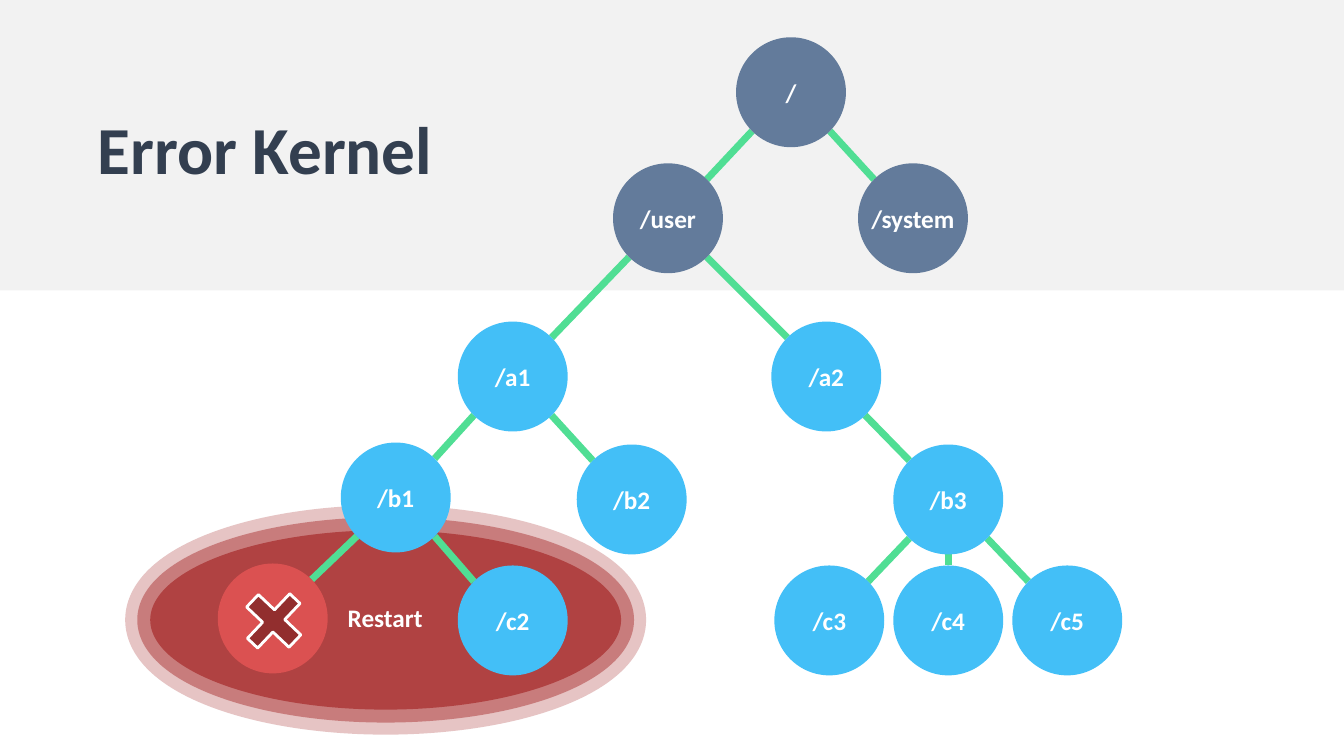
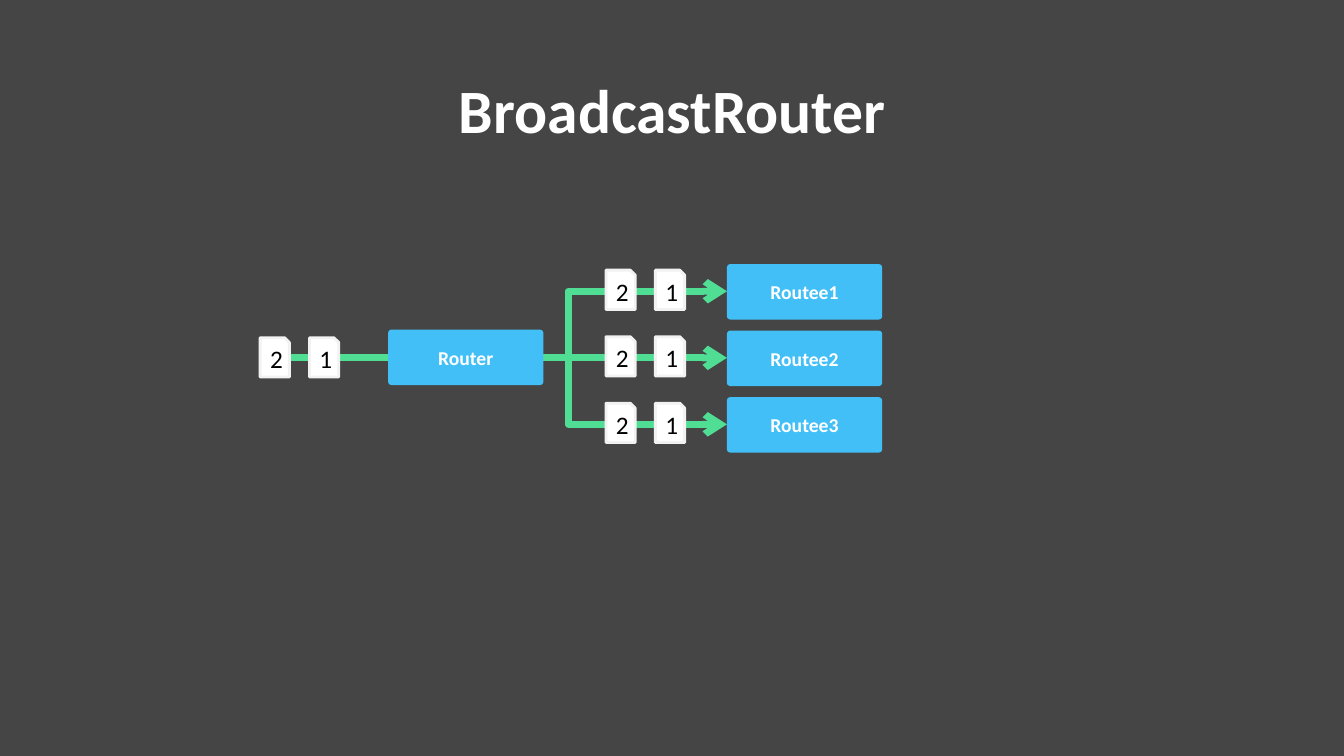
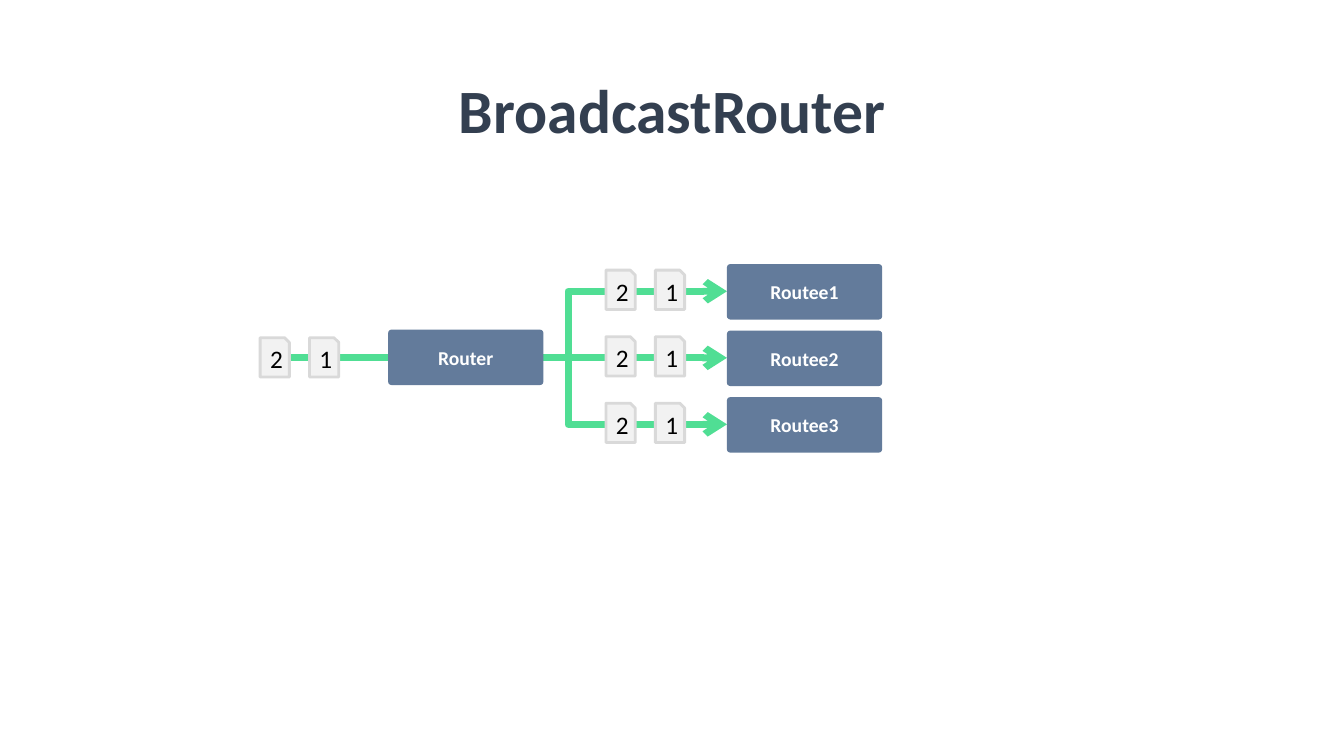
from pptx import Presentation
from pptx.dml.color import RGBColor
from pptx.enum.shapes import MSO_CONNECTOR, MSO_SHAPE
from pptx.enum.text import MSO_ANCHOR, MSO_AUTO_SIZE, PP_ALIGN
from pptx.oxml.ns import qn
from pptx.util import Inches, Pt
from lxml import etree

OVAL, BOX, ROUND = MSO_SHAPE.OVAL, MSO_SHAPE.RECTANGLE, MSO_SHAPE.ROUNDED_RECTANGLE
SNIP, CROSS = MSO_SHAPE.SNIP_1_RECTANGLE, MSO_SHAPE.CROSS
LINE, ELBOW = MSO_CONNECTOR.STRAIGHT, MSO_CONNECTOR.ELBOW
LEFT, MID = PP_ALIGN.LEFT, PP_ALIGN.CENTER
TOP, MIDDLE = MSO_ANCHOR.TOP, MSO_ANCHOR.MIDDLE

FONT = "Calibri"
WHITE = RGBColor(0xFF, 0xFF, 0xFF)
BLACK = RGBColor(0, 0, 0)
NAVY = RGBColor(0x33, 0x3F, 0x50)
DARK = RGBColor(0x45, 0x45, 0x45)
PALE = RGBColor(0xF2, 0xF2, 0xF2)
GREY = RGBColor(0xD9, 0xD9, 0xD9)
GREEN = RGBColor(0x50, 0xDE, 0x94)
BLUE = RGBColor(0x43, 0xBF, 0xF7)
SLATE = RGBColor(0x63, 0x7B, 0x9B)
BRICK = RGBColor(0xB0, 0x42, 0x42)
RED = RGBColor(0xDB, 0x51, 0x51)
WINE = RGBColor(0x92, 0x2E, 0x2E)

# Content: actor tree as name: (left, top, fill, parent)
NODES = {
    "/": (7.3, 0.37, SLATE, None),
    "/user": (6.08, 1.62, SLATE, "/"),
    "/system": (8.51, 1.62, SLATE, "/"),
    "/a1": (4.54, 3.19, BLUE, "/user"),
    "/a2": (7.65, 3.19, BLUE, "/user"),
    "/b1": (3.38, 4.39, BLUE, "/a1"),
    "/b2": (5.72, 4.41, BLUE, "/a1"),
    "/b3": (8.86, 4.41, BLUE, "/a2"),
    "failed": (2.16, 5.59, RED, "/b1"),
    "/c2": (4.54, 5.61, BLUE, "/b1"),
    "/c3": (7.68, 5.61, BLUE, "/b3"),
    "/c4": (8.86, 5.61, BLUE, "/b3"),
    "/c5": (10.04, 5.61, BLUE, "/b3"),
}
NODE = 1.09
ZONE = (1.49, 5.26, 4.67, 1.78)

# Content: router slides as (back, title, box, card, card edge)
ROUTEES = ["Routee1", "Routee2", "Routee3"]
CARDS = ["2", "1"]
LOOKS = [
    (DARK, WHITE, BLUE, WHITE, PALE),
    (WHITE, NAVY, SLATE, PALE, GREY),
]
BOX_W, BOX_H, PITCH = 1.54, 0.55, 0.66
CARD_W, CARD_H, STEP = 0.29, 0.39, 0.49

deck = Presentation()
deck.slide_width, deck.slide_height = Inches(13.33), Inches(7.5)


# Shared helpers
def write(frame, words, size=18, color=WHITE, bold=True, align=MID,
          anchor=MIDDLE, wrap=True, space=None):
    frame.auto_size = MSO_AUTO_SIZE.NONE
    frame.word_wrap = wrap
    frame.vertical_anchor = anchor
    para = frame.paragraphs[0]
    para.alignment, para.line_spacing = align, space
    run = para.add_run()
    run.text = words
    font = run.font
    font.name, font.size, font.bold = FONT, Pt(size), bold
    font.color.rgb = color


def start(words, back, place, **form):
    slide = deck.slides.add_slide(deck.slide_layouts[5])
    slide.background.fill.solid()
    slide.background.fill.fore_color.rgb = back
    head = slide.shapes.title
    head.left, head.top, head.width, head.height = map(Inches, place)
    write(head.text_frame, words, **form)
    return slide


def draw(slide, kind, place, fill=None, edge=None, width=2, alpha=None):
    shape = slide.shapes.add_shape(kind, *map(Inches, place))
    shape.shadow.inherit = False
    if fill is None:
        shape.fill.background()
    else:
        shape.fill.solid()
        shape.fill.fore_color.rgb = fill
    if edge is None:
        shape.line.fill.background()
    else:
        shape.line.color.rgb = edge
        shape.line.width = Pt(width)
    if alpha:
        tint = shape.line._get_or_add_ln().find(".//" + qn("a:srgbClr"))
        etree.SubElement(tint, qn("a:alpha"), val=str(alpha * 1000))
    return shape


def link(slide, begin, end, kind=LINE, bend=None, arrow=False):
    wire = slide.shapes.add_connector(kind, *map(Inches, begin + end))
    wire.line.color.rgb = GREEN
    wire.line.width = Pt(5)
    props = wire.element.spPr
    etree.SubElement(props, qn("a:effectLst"))
    if arrow:
        etree.SubElement(wire.line._get_or_add_ln(), qn("a:tailEnd"), type="arrow")
    if bend:
        guides = props.find(".//" + qn("a:avLst"))
        etree.SubElement(guides, qn("a:gd"), name="adj1",
                         fmla=f"val {round(bend * 100000)}")


# Slide 1: actor tree
def join(slide, upper, lower):
    """Link two circles at their facing diagonal points, or straight down."""
    (left, top), (low_left, low_top) = upper[:2], lower[:2]
    half = NODE / 2
    side = (low_left > left) - (low_left < left)
    dx = side * half * 0.5 ** 0.5
    dy = half * 0.5 ** 0.5 if side else half
    link(slide, (left + half + dx, top + half + dy),
         (low_left + half - dx, low_top + half - dy))


def tree():
    slide = start("Error Kernel", WHITE, (0.87, 1.01, 3.68, 0.91), size=48,
                  color=NAVY, align=LEFT, anchor=TOP, space=1.0)
    draw(slide, OVAL, ZONE, edge=BRICK, width=35.75, alpha=31)
    draw(slide, OVAL, ZONE, BRICK, edge=BRICK, width=18.5, alpha=54)
    draw(slide, BOX, (0, 0, 13.33, 2.88), PALE)
    label = slide.shapes.add_textbox(*map(Inches, (3.35, 5.93, 0.95, 0.4)))
    write(label.text_frame, "Restart", align=LEFT, anchor=TOP, wrap=False)
    for node in NODES.values():
        if node[3]:
            join(slide, NODES[node[3]], node)
    for name, (left, top, fill, _) in NODES.items():
        disc = draw(slide, OVAL, (left, top, NODE, NODE), fill)
        if name == "failed":
            mark = draw(slide, CROSS, (2.41, 5.87, 0.61, 0.58), WINE, WHITE)
            mark.adjustments[0] = 0.379
            mark.rotation = 313.5
        else:
            write(disc.text_frame, name, wrap=name != "/system")
    # Bring the title in front of the band
    slide.shapes.element.append(slide.shapes.title.element)


# Slides 2 and 3: router
def router(back, ink, fill, card, edge):
    slide = start("BroadcastRouter", back, (0.92, 0.4, 11.5, 1.45), size=44,
                  color=ink, space=0.9)
    in_x, out_x, first, mid = 3.85, 7.21, 2.62, 3.55
    fork = (in_x + BOX_W, mid)
    tops = [first + PITCH * row for row in range(len(ROUTEES))]

    for row, top in enumerate(tops):
        if row == 1:
            link(slide, fork, (out_x, mid), arrow=True)
        else:
            link(slide, fork, (out_x, top + 0.27), ELBOW, bend=0.134, arrow=True)
    link(slide, (2.75, mid), (in_x, mid))

    # Message cards on every line
    for left, top in [(2.58, 3.35)] + [(6.01, top + 0.06) for top in tops]:
        for col, words in enumerate(CARDS):
            note = draw(slide, SNIP, (left + STEP * col, top, CARD_W, CARD_H),
                        card, edge)
            write(note.text_frame, words, color=BLACK, bold=False)

    # Router and its routees
    spots = [(in_x, 3.27)] + [(out_x, top) for top in tops]
    for words, spot in zip(["Router"] + ROUTEES, spots):
        box = draw(slide, ROUND, spot + (BOX_W, BOX_H), fill)
        box.adjustments[0] = 0.062
        write(box.text_frame, words, size=14)


tree()
for look in LOOKS:
    router(*look)
deck.save("out.pptx")
